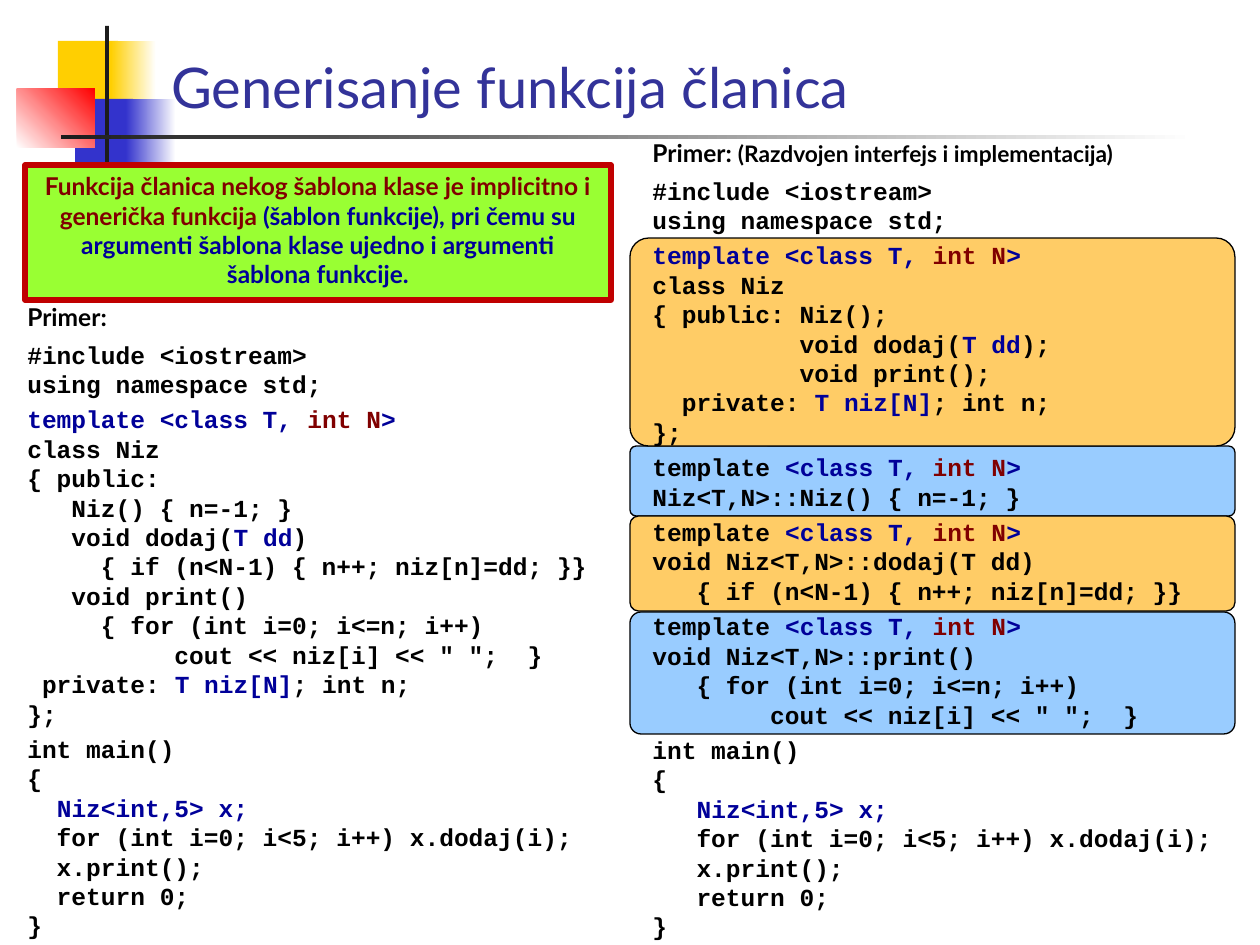
import pptx
import pptx.util
import pptx.dml.color
import pptx.enum.shapes
import pptx.enum.text

RGB = pptx.dml.color.RGBColor
SHAPE = pptx.enum.shapes.MSO_SHAPE
ALIGN = pptx.enum.text.PP_ALIGN
ANCHOR = pptx.enum.text.MSO_ANCHOR

BLACK, WHITE = RGB(0, 0, 0), RGB(255, 255, 255)
YELLOW, INDIGO, RED = RGB(0xFF, 0xCF, 0x01), RGB(0x33, 0x33, 0xCC), RGB(255, 0, 0)
DARK, TITLE = RGB(0x1C, 0x1C, 0x1C), RGB(0x33, 0x33, 0x99)
NAVY, MAROON = RGB(0, 0, 0x99), RGB(0x80, 0, 0)
LIME, CRIMSON = RGB(0x99, 0xFF, 0x33), RGB(0xC0, 0, 0)
SKY, ORANGE = RGB(0x99, 0xCC, 0xFF), RGB(0xFF, 0xCC, 0x66)

# A code line is a string in black, or a list of (text, colour) runs.
PARAMS = [("<class T, ", NAVY), ("int N", MAROON), (">", NAVY)]
HEAD = [("template <class T, ", NAVY)] + PARAMS[1:]
PLAIN = [("template ", BLACK)] + PARAMS
START = ["#include <iostream>", "using namespace std;"]


def field(pad):
    return [(pad + "private: ", BLACK), ("T niz[N]", NAVY), ("; int n;", BLACK)]


def add(pad, end):
    return [(pad + "void dodaj(", BLACK), ("T dd", NAVY), (end, BLACK)]


def main_code(pad):
    return ["int main()", "{", [(pad, BLACK), ("Niz<int,5> x;", NAVY)],
            pad + "for (int i=0; i<5; i++) x.dodaj(i);",
            pad + "x.print();", pad + "return 0;", "}"]


LEFT = [
    START,
    [HEAD, "class Niz", "{ public:", "   Niz() { n=-1; }", add("   ", ")"),
     "     { if (n<N-1) { n++; niz[n]=dd; }}",
     "   void print()",
     "     { for (int i=0; i<=n; i++)",
     '          cout << niz[i] << " ";  }',
     field(" "), "};"],
    main_code("  "),
]
RIGHT = [
    START,
    [HEAD, "class Niz", "{ public: Niz();", add(" " * 10, ");"),
     "          void print();", field("  "), "};"],
    [PLAIN, "Niz<T,N>::Niz() { n=-1; }"],
    [PLAIN, "void Niz<T,N>::dodaj(T dd)", "   { if (n<N-1) { n++; niz[n]=dd; }}"],
    [PLAIN, "void Niz<T,N>::print()", "   { for (int i=0; i<=n; i++)",
     '        cout << niz[i] << " ";  }'],
    main_code("   "),
]


class Deck:
    SANS, MONO = "Lato", "Courier New"
    SIZE, PITCH, GAP = 14, 16.8, 3.4

    def __init__(self, wide, high):
        self.file = pptx.Presentation()
        self.file.slide_width, self.file.slide_height = self.emu(wide, high)
        self.slide = self.file.slides.add_slide(self.file.slide_layouts[6])

    def emu(self, *px):
        return [pptx.util.Emu(round(n * 914400 / 126)) for n in px]

    def shape(self, box, fill, kind=SHAPE.RECTANGLE, line=None, width=0.75):
        item = self.slide.shapes.add_shape(kind, *self.emu(*box))
        item.shadow.inherit = False
        item.fill.solid()
        item.fill.fore_color.rgb = fill
        if line is None:
            item.line.fill.background()
        else:
            item.line.color.rgb = line
            item.line.width = pptx.util.Pt(width)
        return item

    def fade(self, box, first, last, angle=0):
        """Add a rectangle with a gradient; the angle runs counter-clockwise."""
        fill = self.shape(box, first).fill
        fill.gradient()
        fill.gradient_angle = angle
        for stop, tint in zip(fill.gradient_stops, (first, last)):
            stop.color.rgb = tint

    def panel(self, box, fill):
        self.shape(box, fill, SHAPE.ROUNDED_RECTANGLE, BLACK).adjustments[0] = 0.09

    def run(self, para, text, tint, font=SANS, size=SIZE, bold=True):
        run = para.add_run()
        run.text = text
        run.font.name, run.font.size, run.font.bold = font, pptx.util.Pt(size), bold
        run.font.color.rgb = tint

    def text(self, box):
        frame = self.slide.shapes.add_textbox(*self.emu(*box)).text_frame
        frame.word_wrap = True
        return frame

    def title(self, box, text):
        frame = self.text(box)
        frame.vertical_anchor = ANCHOR.BOTTOM
        self.run(frame.paragraphs[0], text, TITLE, size=32, bold=False)

    def note(self, box, runs):
        frame = self.shape(box, LIME, line=CRIMSON, width=3).text_frame
        frame.word_wrap = True
        frame.vertical_anchor = ANCHOR.TOP
        para = frame.paragraphs[0]
        para.alignment = ALIGN.CENTER
        for text, tint in runs:
            self.run(para, text, tint)

    def code(self, box, label, blocks):
        """Add a label of (text, size) runs, then code blocks set apart by a gap."""
        frame = self.text(box)
        for text, size in label:
            self.run(frame.paragraphs[0], text, BLACK, size=size)
        for block in blocks:
            for row, line in enumerate(block):
                para = frame.add_paragraph()
                para.line_spacing = pptx.util.Pt(self.PITCH)
                if row == 0:
                    # The first block also makes up for the lower ascent of the code font.
                    extra = 1.2 if block is blocks[0] else 0
                    para.space_before = pptx.util.Pt(self.GAP + extra)
                runs = [(line, BLACK)] if isinstance(line, str) else line
                for text, tint in runs:
                    self.run(para, text, tint, self.MONO)


def main():
    deck = Deck(1260, 945)

    deck.shape((58, 41, 60, 65), YELLOW)
    deck.fade((111, 41, 45, 65), YELLOW, WHITE)
    deck.shape((75, 99, 58, 65), INDIGO)
    deck.fade((126, 99, 50, 65), INDIGO, WHITE)
    deck.fade((17, 89, 78, 59), WHITE, RED, 45)
    deck.shape((105, 26, 4, 145), DARK)
    deck.fade((61, 135, 1134, 4), DARK, WHITE)

    for top, high, fill in ((446, 70, SKY), (612, 122, SKY),
                            (516, 95, ORANGE), (238, 208, ORANGE)):
        deck.panel((630, top, 605, high), fill)

    deck.title((159, 16, 1101, 110), "Generisanje funkcija članica")
    deck.note((25, 165, 586, 135), [
        ("Funkcija članica nekog šablona klase je implicitno i generička funkcija", MAROON),
        (" (šablon funkcije), pri čemu su argumenti šablona klase ujedno "
         "i argumenti šablona funkcije.", NAVY)])
    deck.code((15, 296, 606, 617), [("Primer:", 14)], LEFT)
    deck.code((640, 132, 586, 617),
              [("Primer: ", 14), ("(Razdvojen interfejs i implementacija)", 13)], RIGHT)

    deck.file.save("out.pptx")


if __name__ == "__main__":
    main()
